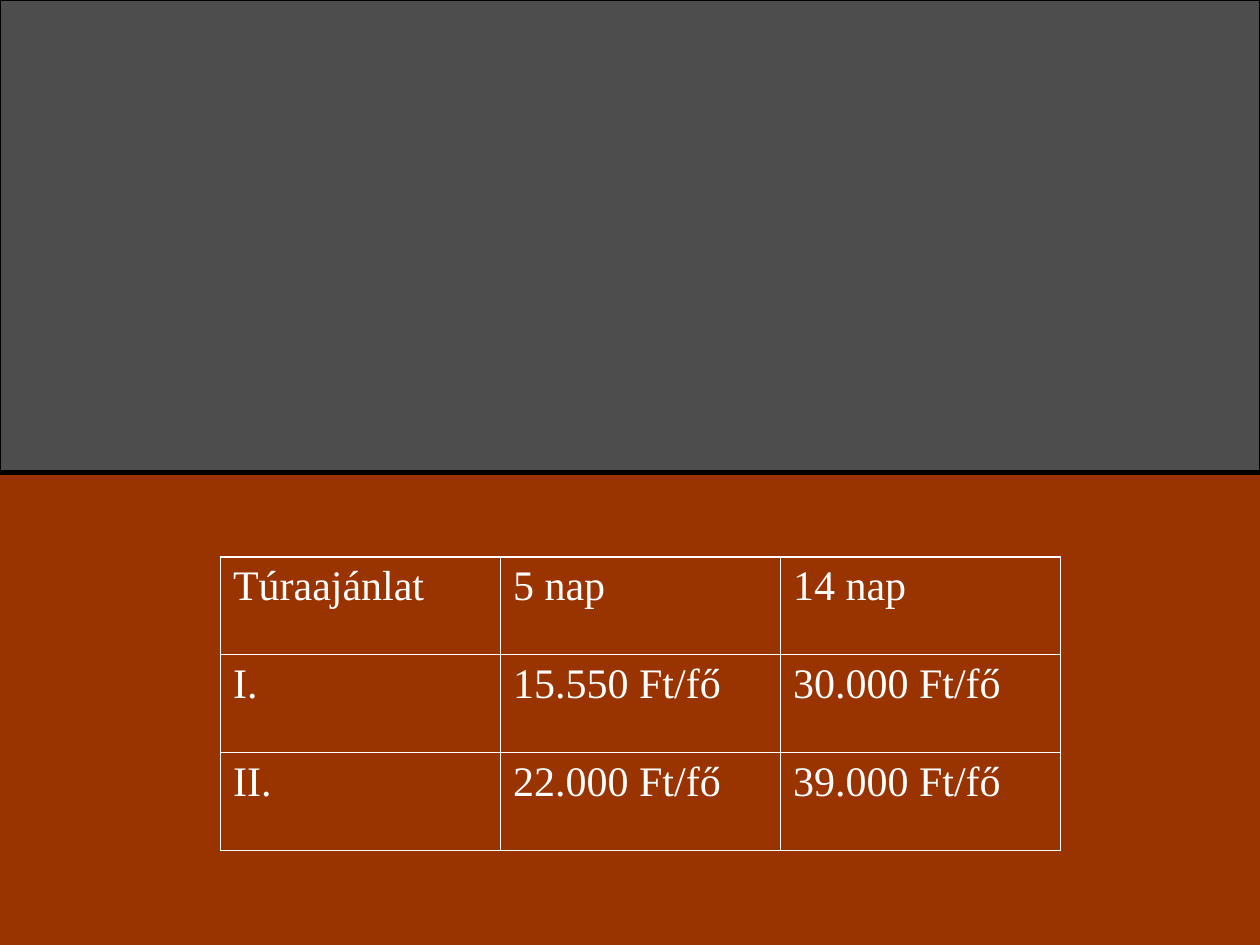
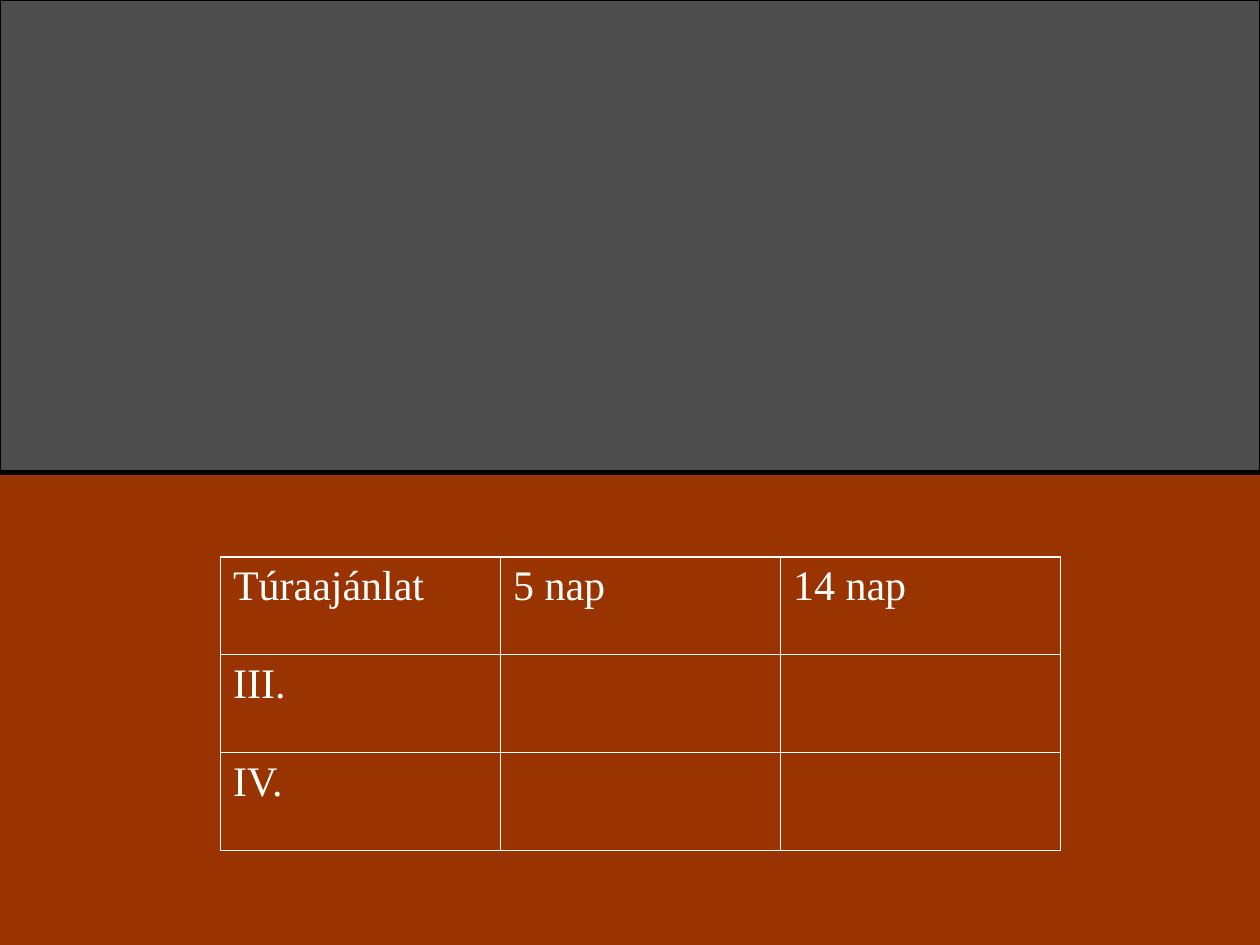
import lxml.etree
import pptx
import pptx.dml.color
import pptx.enum.shapes
import pptx.oxml.ns
import pptx.util
from dataclasses import dataclass

# Content: one price table per slide
HEADINGS = ["Túraajánlat", "5 nap", "14 nap"]
OFFERS_BY_SLIDE = [
    [["I.", "15.550 Ft/fő", "30.000 Ft/fő"],
     ["II.", "22.000 Ft/fő", "39.000 Ft/fő"]],
    [["III.", "", ""],
     ["IV.", "", ""]],
]


@dataclass(frozen=True)
class Theme:
    ground: str = "993300"
    band: str = "4D4D4D"
    edge: str = "000000"
    ink: str = "FFFFFF"
    font: str = "Times New Roman"
    text_size: float = 24
    band_outline: float = 0.75
    divider: float = 3
    outer_border: float = 1.08
    inner_border: float = 0.45


THEME = Theme()

# Geometry
WIDTH, HEIGHT = pptx.util.Inches(10), pptx.util.Inches(7.5)
BAND_HEIGHT = HEIGHT // 2
TABLE_LEFT, TABLE_TOP = pptx.util.Inches(1.75), pptx.util.Inches(4.42)
TABLE_WIDTH, TABLE_HEIGHT = WIDTH * 2 // 3, pptx.util.Inches(2.33)


def colour(value):
    return pptx.dml.color.RGBColor.from_string(value)


def add_band(slide):
    """Grey upper half, closed by a heavy divider."""
    band = slide.shapes.add_shape(
        pptx.enum.shapes.MSO_SHAPE.RECTANGLE, 0, 0, WIDTH, BAND_HEIGHT)
    band.shadow.inherit = False
    band.fill.solid()
    band.fill.fore_color.rgb = colour(THEME.band)
    divider = slide.shapes.add_connector(
        pptx.enum.shapes.MSO_CONNECTOR.STRAIGHT, 0, BAND_HEIGHT, WIDTH, BAND_HEIGHT)
    lxml.etree.SubElement(divider._element.spPr, pptx.oxml.ns.qn("a:effectLst"))
    for shape, weight in ((band, THEME.band_outline), (divider, THEME.divider)):
        shape.line.color.rgb = colour(THEME.edge)
        shape.line.width = pptx.util.Pt(weight)


def set_borders(cell, outer_sides):
    """Draw all four borders, heavier on the table's outer sides."""
    properties = cell._tc.get_or_add_tcPr()
    for side in "LRTB":
        weight = THEME.outer_border if side in outer_sides else THEME.inner_border
        line = lxml.etree.SubElement(
            properties, pptx.oxml.ns.qn(f"a:ln{side}"), w=str(pptx.util.Pt(weight)))
        fill = lxml.etree.SubElement(line, pptx.oxml.ns.qn("a:solidFill"))
        lxml.etree.SubElement(fill, pptx.oxml.ns.qn("a:srgbClr"), val=THEME.ink)


def add_price_table(slide, rows):
    row_count, column_count = len(rows), len(HEADINGS)
    table = slide.shapes.add_table(
        row_count, column_count, TABLE_LEFT, TABLE_TOP, TABLE_WIDTH, TABLE_HEIGHT).table
    table.first_row = table.horz_banding = False
    for r, row in enumerate(rows):
        for c, text in enumerate(row):
            cell = table.cell(r, c)
            edges = {"L": c == 0, "R": c == column_count - 1,
                     "T": r == 0, "B": r == row_count - 1}
            set_borders(cell, [side for side, is_outer in edges.items() if is_outer])
            cell.fill.background()
            para = cell.text_frame.paragraphs[0]
            para.text = text
            for span in para.runs:
                span.font.name = THEME.font
                span.font.size = pptx.util.Pt(THEME.text_size)
                span.font.bold = False
                span.font.color.rgb = colour(THEME.ink)


def main():
    deck = pptx.Presentation()
    deck.slide_width, deck.slide_height = WIDTH, HEIGHT
    ground = deck.slide_master.background.fill
    ground.solid()
    ground.fore_color.rgb = colour(THEME.ground)
    blank_layout = deck.slide_layouts.get_by_name("Blank")
    for offers in OFFERS_BY_SLIDE:
        slide = deck.slides.add_slide(blank_layout)
        add_band(slide)
        add_price_table(slide, [HEADINGS, *offers])
    deck.save("out.pptx")


if __name__ == "__main__":
    main()
